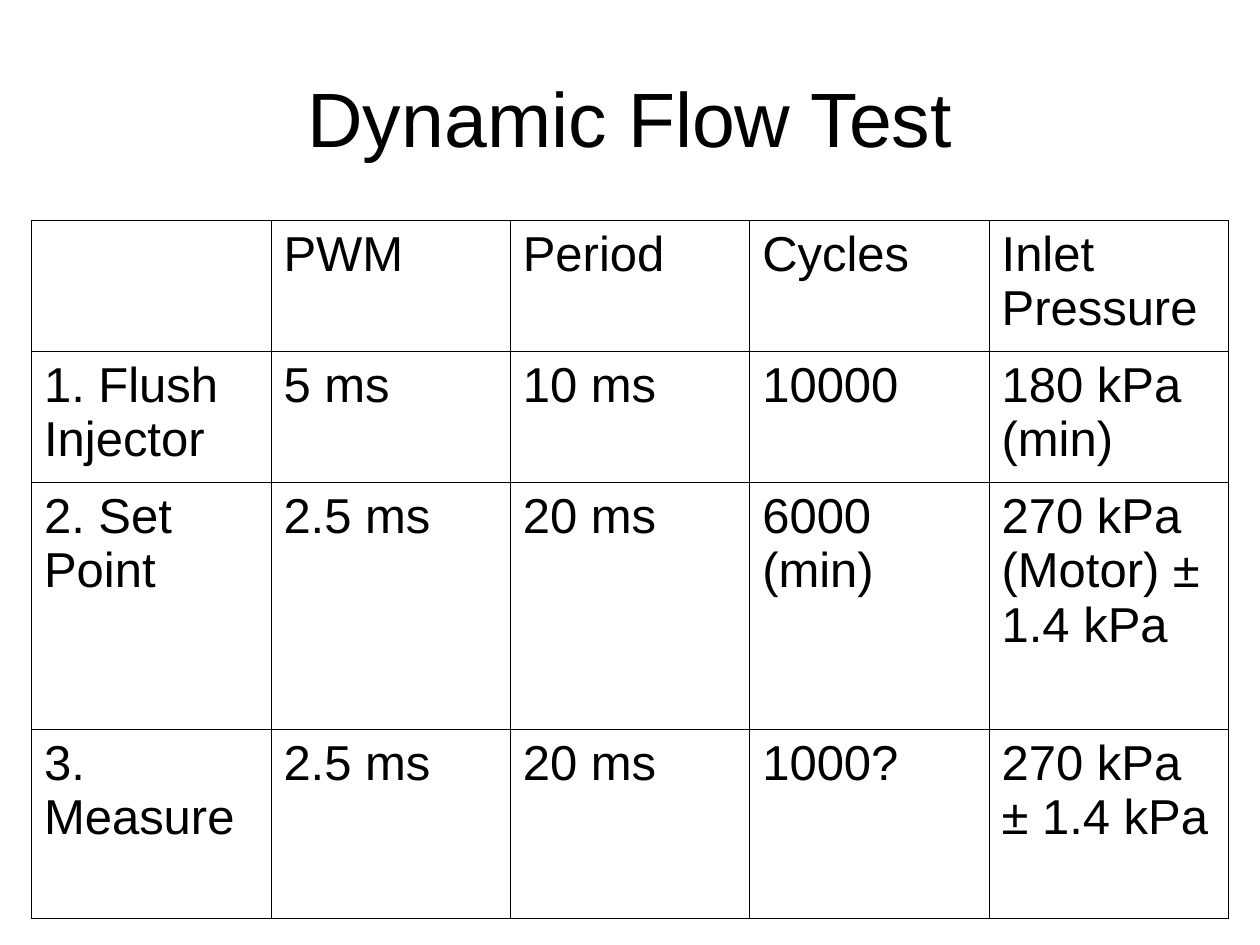
from lxml.etree import SubElement
from pptx import Presentation
from pptx.dml.color import RGBColor
from pptx.enum.text import MSO_ANCHOR, PP_ALIGN
from pptx.oxml.ns import qn
from pptx.util import Inches, Pt

COLORS = {"ink": "000000", "paper": "FFFFFF"}
FONT = "Arial"
THIN, THICK = Pt(0.45), Pt(1.08)

STEPS = [
    ["", "PWM", "Period", "Cycles", "Inlet Pressure"],
    ["1. Flush Injector", "5 ms", "10 ms", "10000", "180 kPa (min)"],
    ["2. Set Point", "2.5 ms", "20 ms", "6000 (min)", "270 kPa (Motor) ± 1.4 kPa"],
    ["3. Measure", "2.5 ms", "20 ms", "1000?", "270 kPa ± 1.4 kPa"],
]
HEIGHTS = [1.04, 1.04, 1.96, 1.5]


def apply(target, values):
    for name, value in values.items():
        setattr(target, name, value)


class Maker:
    def __init__(self, slide):
        self.slide = slide
        fill = slide.background.fill
        fill.solid()
        fill.fore_color.rgb = RGBColor.from_string(COLORS["paper"])

    def label(self, frame, text, size, **format):
        par = frame.paragraphs[0]
        apply(par, format)
        run = par.add_run()
        run.text = text
        apply(run.font, {"name": FONT, "size": Pt(size)})
        run.font.color.rgb = RGBColor.from_string(COLORS["ink"])

    def title(self, text, box):
        frame = self.slide.shapes.add_textbox(*map(Inches, box)).text_frame
        apply(frame, {"word_wrap": True, "vertical_anchor": MSO_ANCHOR.MIDDLE})
        self.label(frame, text, 44, alignment=PP_ALIGN.CENTER)

    def border(self, cell, widths):
        props = cell._tc.get_or_add_tcPr()
        for side, width in widths.items():
            line = SubElement(props, qn(f"a:ln{side}"), w=str(int(width)))
            fill = SubElement(line, qn("a:solidFill"))
            SubElement(fill, qn("a:srgbClr"), val=COLORS["ink"])

    def table(self, data, box, heights):
        rows, cols = len(data), len(data[0])
        grid = self.slide.shapes.add_table(rows, cols, *map(Inches, box)).table
        apply(grid, {"first_row": False, "horz_banding": False})
        for row, height in zip(grid.rows, heights):
            row.height = Inches(height)
        for col in grid.columns:
            col.width = Inches(box[2] / cols)
        for r, line in enumerate(data):
            for c, text in enumerate(line):
                cell = grid.cell(r, c)
                # Outer edges are thicker than inner ones
                edges = {"L": c == 0, "R": c == cols - 1,
                         "T": r == 0, "B": r == rows - 1}
                self.border(cell, {side: THICK if outer else THIN
                                   for side, outer in edges.items()})
                cell.fill.background()
                if text:
                    self.label(cell.text_frame, text, 28, space_before=Pt(7))


def main():
    deck = Presentation()
    apply(deck, {"slide_width": Inches(10), "slide_height": Inches(7.5)})
    maker = Maker(deck.slides.add_slide(deck.slide_layouts[6]))

    # Heading
    maker.title("Dynamic Flow Test", (0.5, 0.3, 9, 1.25))

    # Test steps
    maker.table(STEPS, (0.25, 1.75, 9.5, sum(HEIGHTS)), HEIGHTS)

    deck.save("out.pptx")


if __name__ == "__main__":
    main()
